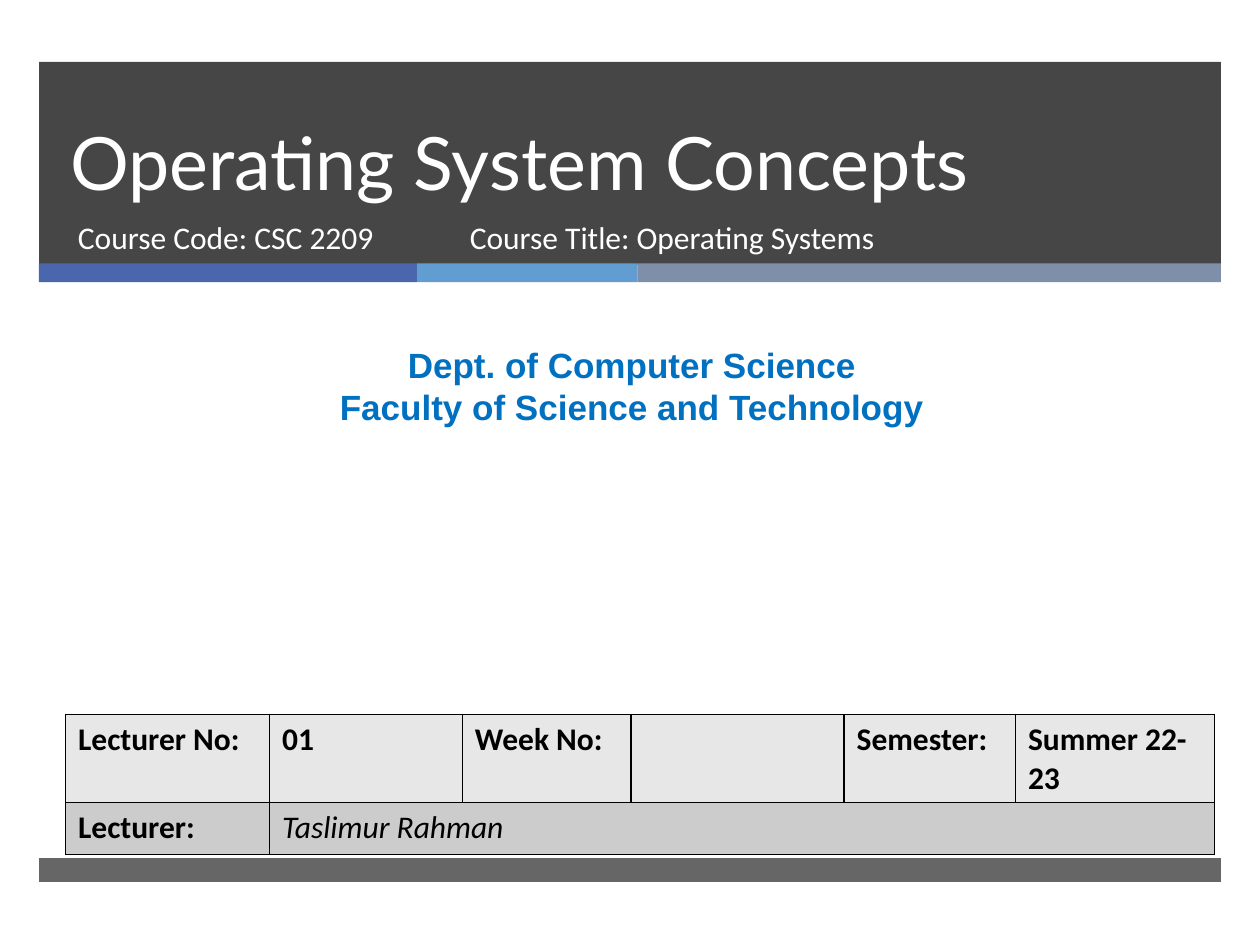
from itertools import accumulate

from lxml.etree import SubElement
from pptx import Presentation
from pptx.dml.color import RGBColor
from pptx.enum.shapes import MSO_SHAPE as Shape
from pptx.enum.text import MSO_ANCHOR as Anchor, PP_ALIGN as Align
from pptx.oxml import parse_xml
from pptx.oxml.ns import nsdecls, qn
from pptx.util import Inches, Pt

COLORS = {
    "dark": "262626", "indigo": "4A66AC", "sky": "629DD1", "slate": "7F8FA9",
    "white": "FFFFFF", "blue": "0070C0", "black": "000000",
    "light_row": "E7E7E7", "dark_row": "CCCCCC",
}
LEFT, BAND_WIDTH = 0.31, 9.38
BANDS = [(0.49, 1.61, 85), (6.81, 0.19, 70)]
STRIPES = [("indigo", 3), ("sky", 1.75), ("slate", 4.63)]
STRIPE_TOP, STRIPE_HEIGHT = 2.09, 0.15

TITLE = {"name": "Lato", "size": Pt(42), "color": "white"}
COURSE = {"name": "Calibri", "size": Pt(18), "color": "white"}
DEPARTMENT = {"name": "Arial", "size": Pt(20), "bold": True, "color": "blue"}
LABEL = {"name": "Calibri", "size": Pt(18), "bold": True, "color": "black"}
LECTURER = LABEL | {"bold": False, "italic": True}

TEXTS = [
    ((0.46, 0.49, 8.54, 1.19), ["Operating System Concepts"], TITLE,
     {"line_spacing": Pt(46)}, Anchor.BOTTOM),
    ((0.52, 1.68, 3.05, 0.53), ["Course Code: CSC 2209"], COURSE, {}, Anchor.TOP),
    ((0.08, 2.68, 9.87, 0.77),
     ["Dept. of Computer Science", "Faculty of Science and Technology"],
     DEPARTMENT, {"alignment": Align.CENTER}, Anchor.TOP),
    ((3.63, 1.68, 4.55, 0.53), ["Course Title: Operating Systems"], COURSE, {}, Anchor.TOP),
]
TABLE_LEFT, TABLE_TOP, ROW_HEIGHT = 0.52, 5.67, 0.41
COLUMNS = [1.62, 1.53, 1.34, 1.69, 1.36, 1.58]
ROWS = [
    ("light_row", ["Lecturer No:", "01", "Week No:", "", "Semester:", "Summer 22-23"]),
    ("dark_row", ["Lecturer:", "Taslimur Rahman", "", "", "", ""]),
]


def rgb(name):
    return RGBColor.from_string(COLORS[name])


def paint(target, color):
    target.fill.solid()
    target.fill.fore_color.rgb = rgb(color)


def add_bar(page, left, top, width, height, color, opacity=100):
    bar = page.shapes.add_shape(Shape.RECTANGLE, *map(Inches, (left, top, width, height)))
    bar.shadow.inherit = False
    bar.line.fill.background()
    paint(bar, color)
    if opacity < 100:
        shade = bar.fill._xPr.find(qn("a:solidFill"))[0]
        SubElement(shade, qn("a:alpha")).set("val", str(opacity * 1000))


def write(frame, lines, style, layout):
    for index, line in enumerate(lines):
        para = frame.add_paragraph() if index else frame.paragraphs[0]
        for key, value in layout.items():
            setattr(para, key, value)
        span = para.add_run()
        span.text = line
        for key, value in style.items():
            if key == "color":
                span.font.color.rgb = rgb(value)
            else:
                setattr(span.font, key, value)


def add_text(page, place, lines, style, layout, anchor):
    frame = page.shapes.add_textbox(*map(Inches, place)).text_frame
    frame.word_wrap = True
    frame.vertical_anchor = anchor
    write(frame, lines, style, layout)


def outline(cell):
    props = cell._tc.get_or_add_tcPr()
    for index, side in enumerate(("lnL", "lnR", "lnT", "lnB")):
        props.insert(index, parse_xml(
            f'<a:{side} {nsdecls("a")} w="{Pt(1)}"><a:solidFill>'
            f'<a:srgbClr val="{COLORS["black"]}"/></a:solidFill></a:{side}>'))


def add_details(page):
    place = (TABLE_LEFT, TABLE_TOP, sum(COLUMNS), ROW_HEIGHT * len(ROWS))
    table = page.shapes.add_table(len(ROWS), len(COLUMNS), *map(Inches, place)).table
    for column, width in zip(table.columns, COLUMNS):
        column.width = Inches(width)
    for row, (color, words) in enumerate(ROWS):
        table.rows[row].height = Inches(ROW_HEIGHT)
        for column, word in enumerate(words):
            cell = table.cell(row, column)
            paint(cell, color)
            outline(cell)
            if word:
                style = LECTURER if (row, column) == (1, 1) else LABEL
                write(cell.text_frame, [word], style, {})
            else:
                cell.text_frame.paragraphs[0].font.size = LABEL["size"]
    table.cell(1, 1).merge(table.cell(1, len(COLUMNS) - 1))


def main():
    """Build the title slide of the operating systems course."""
    deck = Presentation()
    deck.slide_width, deck.slide_height = Inches(10), Inches(7.5)
    page = deck.slides.add_slide(deck.slide_layouts[6])
    for top, height, opacity in BANDS:
        add_bar(page, LEFT, top, BAND_WIDTH, height, "dark", opacity)
    lefts = accumulate((width for _, width in STRIPES), initial=LEFT)
    for left, (color, width) in zip(lefts, STRIPES):
        add_bar(page, left, STRIPE_TOP, width, STRIPE_HEIGHT, color)
    for text in TEXTS:
        add_text(page, *text)
    add_details(page)
    deck.save("out.pptx")


if __name__ == "__main__":
    main()
